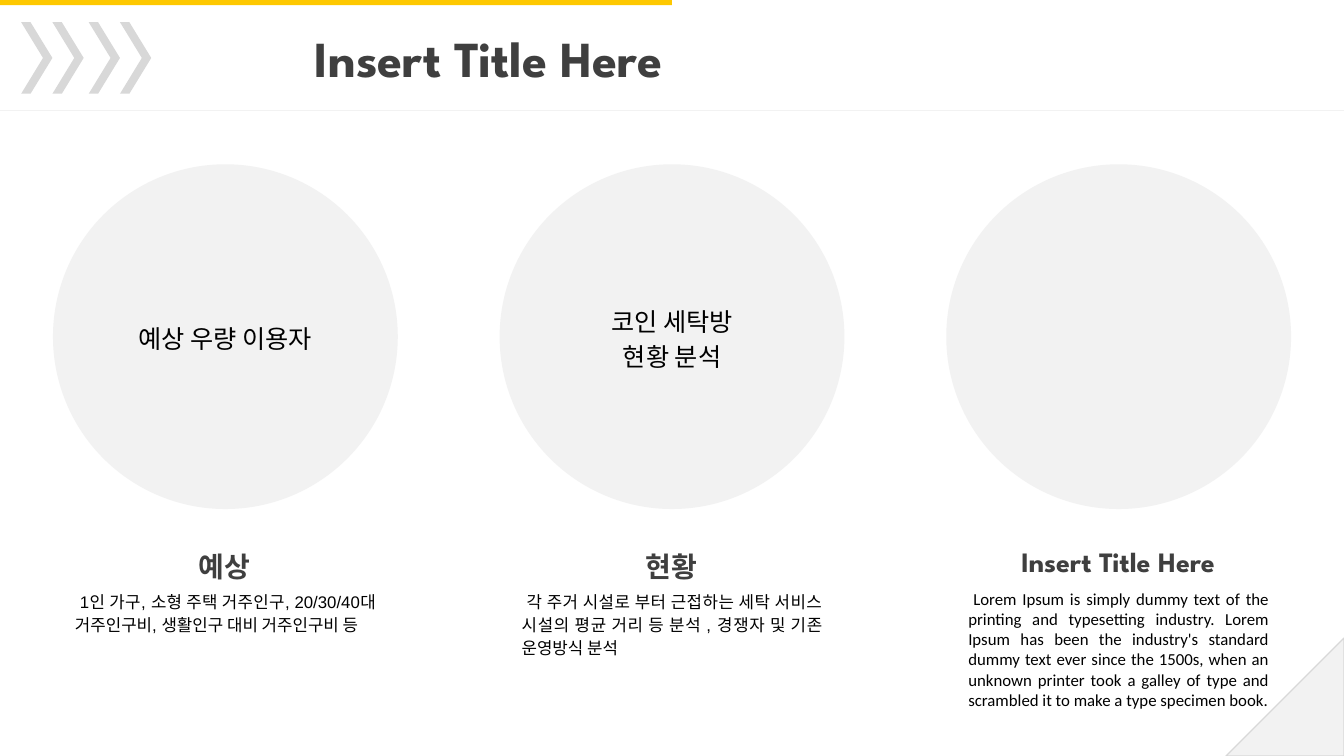
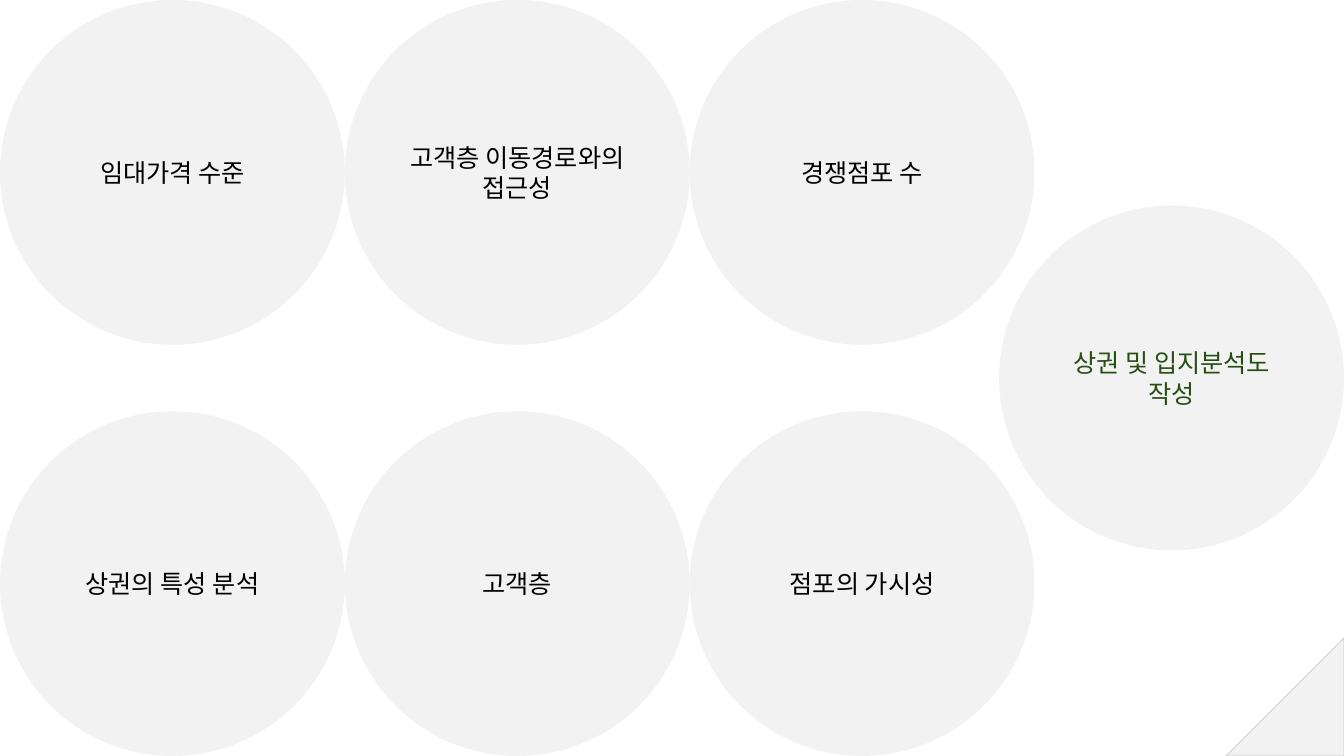
from lxml.etree import SubElement
from pptx import Presentation
from pptx.dml.color import RGBColor
from pptx.enum.shapes import MSO_CONNECTOR, MSO_SHAPE
from pptx.enum.text import MSO_ANCHOR, PP_ALIGN
from pptx.oxml.ns import qn
from pptx.util import Inches, Pt

WIDTH, HEIGHT = 13.33, 7.5
DIAMETER = 3.42
YELLOW, PALE, SILVER = "FEC800", "F2F2F2", "D8D8D8"
HEADING, BLACK, GREEN = "3F3F3F", "000000", "274E13"
HEADING_FONT, LATIN_FONT, BODY_FONT = "League Spartan", "Calibri", "Arial"


def rgb(hex_string):
    return RGBColor.from_string(hex_string)


class Deck:
    """Holds the shared style and the slide being drawn."""

    def __init__(self):
        self.presentation = Presentation()
        self.presentation.slide_width = Inches(WIDTH)
        self.presentation.slide_height = Inches(HEIGHT)
        self.slide = None

    def new_slide(self):
        self.slide = self.presentation.slides.add_slide(self.presentation.slide_layouts[6])
        # Folded corner at the bottom right
        fold = 1.17
        corner = self.shape(MSO_SHAPE.RIGHT_TRIANGLE, WIDTH - fold, HEIGHT - fold, fold, fold, PALE)
        corner.rotation = 270
        corner.line.color.rgb = rgb(SILVER)
        corner.line.width = Pt(1)

    def group(self):
        return self.slide.shapes.add_group_shape()

    def shape(self, preset, left, top, width, height, fill, group=None):
        shapes = (group or self.slide).shapes
        shape = shapes.add_shape(preset, Inches(left), Inches(top), Inches(width), Inches(height))
        shape.shadow.inherit = False
        shape.fill.solid()
        shape.fill.fore_color.rgb = rgb(fill)
        shape.line.fill.background()
        return shape

    def set_text(self, frame, lines, size, font, color=BLACK, align=PP_ALIGN.CENTER,
                 bold=False, spacing=1.0, indent=0):
        frame.word_wrap = True
        for number, line in enumerate(lines):
            paragraph = frame.paragraphs[0] if number == 0 else frame.add_paragraph()
            paragraph.text = line
            paragraph.alignment = align
            paragraph.line_spacing = spacing
            if indent:
                paragraph._p.get_or_add_pPr().set("indent", str(Inches(indent)))
            paragraph.font.size = Pt(size)
            paragraph.font.name = font
            paragraph.font.bold = bold
            paragraph.font.color.rgb = rgb(color)

    def text(self, left, top, width, height, line, size, font, group=None, **style):
        shapes = (group or self.slide).shapes
        box = shapes.add_textbox(Inches(left), Inches(top), Inches(width), Inches(height))
        self.set_text(box.text_frame, [line], size, font, **style)

    def circle(self, left, top, lines, font, **style):
        circle = self.shape(MSO_SHAPE.OVAL, left, top, DIAMETER, DIAMETER, PALE)
        circle.text_frame.vertical_anchor = MSO_ANCHOR.MIDDLE
        if lines:
            self.set_text(circle.text_frame, lines, 18, font, **style)

    def rule(self, top, color):
        rule = self.slide.shapes.add_connector(
            MSO_CONNECTOR.STRAIGHT, 0, Inches(top), Inches(WIDTH), Inches(top))
        rule.line.color.rgb = rgb(color)
        rule.line.width = Pt(0.75)
        SubElement(rule._element.spPr, qn("a:effectLst"))

    def header(self, title):
        self.shape(MSO_SHAPE.RECTANGLE, 0, 0, WIDTH / 2, 0.05, YELLOW)
        self.text(2.09, 0.22, 4.58, 0.71, title, 36, HEADING_FONT,
                  color=HEADING, align=PP_ALIGN.RIGHT, bold=True)
        self.rule(1.1, PALE)
        # Two pairs of chevrons
        for pair_left in (0.21, 0.88):
            pair = self.group()
            for step in range(2):
                chevron = self.shape(MSO_SHAPE.CHEVRON, pair_left + step * 0.31, 0.22,
                                     0.31, 0.71, SILVER, pair)
                chevron.adjustments[0] = 0.7

    def topic(self, center, circle_lines, title, title_font, description, body_font, spacing):
        self.circle(center - DIAMETER / 2, 1.63, circle_lines, body_font, spacing=spacing)
        caption = self.group()
        self.text(center - 1.12, 5.35, 2.23, 0.44, title, 20, title_font, caption,
                  color=HEADING, bold=True, spacing=spacing)
        self.text(center - 1.59, 5.79, 3.18, 1.31, description, 12, body_font, caption,
                  align=PP_ALIGN.JUSTIFY, spacing=spacing, indent=0.05)


TOPICS = [
    (["예상 우량 이용자"], "예상", BODY_FONT,
     "1인 가구, 소형 주택 거주인구, 20/30/40대 거주인구비, 생활인구 대비 거주인구비 등",
     BODY_FONT, 1.15),
    (["코인 세탁방", "현황 분석"], "현황", BODY_FONT,
     "각 주거 시설로 부터 근접하는 세탁 서비스 시설의 평균 거리 등 분석 , 경쟁자 및 기존 운영방식 분석",
     BODY_FONT, 1.15),
    ([], "Insert Title Here", HEADING_FONT,
     "Lorem Ipsum is simply dummy text of the printing and typesetting industry. "
     "Lorem Ipsum has been the industry's standard dummy text ever since the 1500s, "
     "when an unknown printer took a galley of type and scrambled it to make a type "
     "specimen book.",
     LATIN_FONT, 1.0),
]

FACTORS = [
    ["임대가격 수준", "고객층 이동경로와의 접근성", "경쟁점포 수"],
    ["상권의 특성 분석", "고객층", "점포의 가시성"],
]


def main():
    deck = Deck()

    # Slide 1: three topics in equal columns
    deck.new_slide()
    deck.header("Insert Title Here")
    for column, topic in enumerate(TOPICS):
        deck.topic(WIDTH / 2 + (column - 1) * 4.43, *topic)

    # Slide 2: grid of factors leading to the result
    deck.new_slide()
    for row, factors in enumerate(FACTORS):
        for column, factor in enumerate(factors):
            deck.circle(column * DIAMETER, row * (HEIGHT - DIAMETER), [factor], LATIN_FONT)
    deck.circle(WIDTH - DIAMETER, (HEIGHT - DIAMETER) / 2, ["상권 및 입지분석도 작성"],
                LATIN_FONT, color=GREEN)

    deck.presentation.save("out.pptx")


if __name__ == "__main__":
    main()
